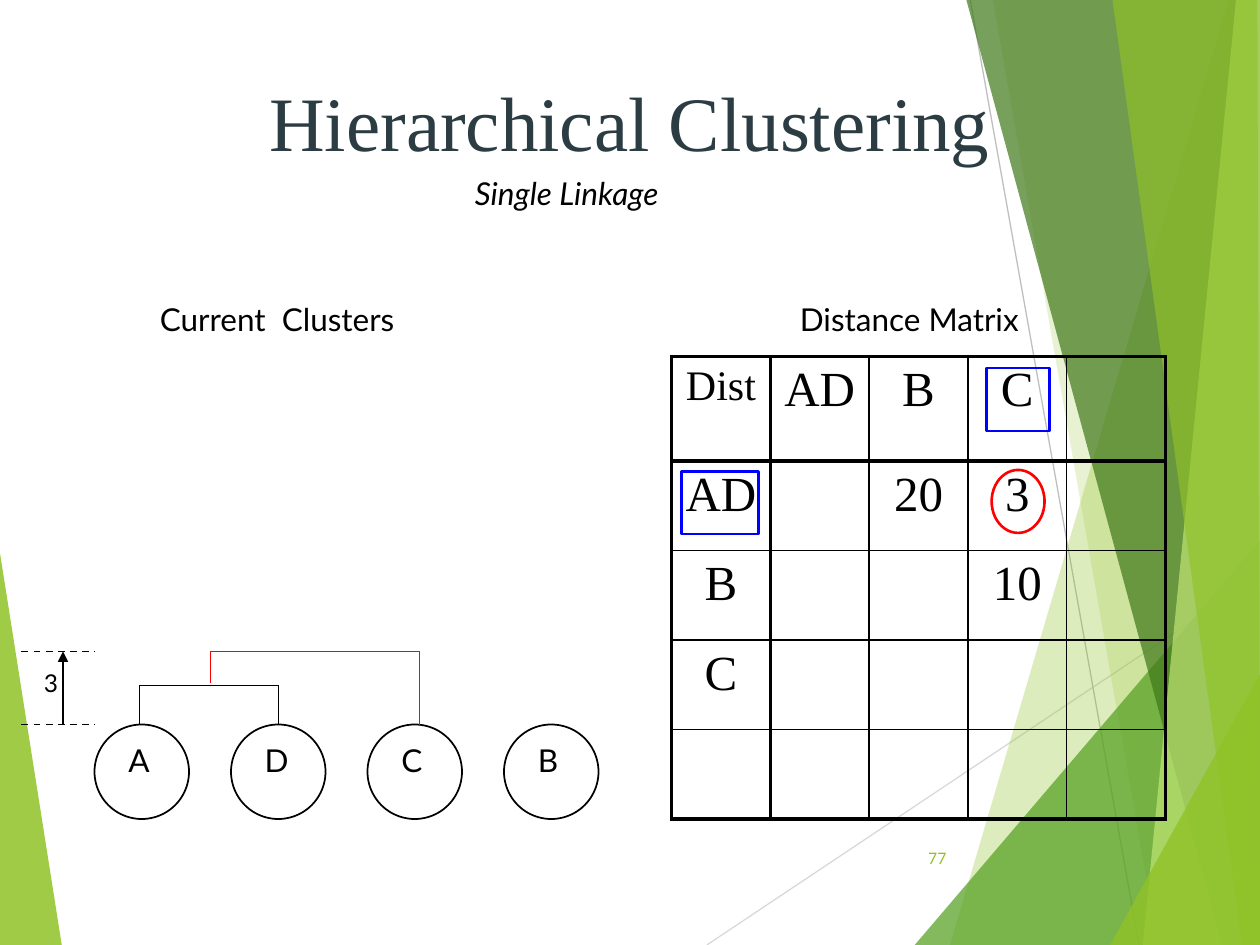
"""Build the hierarchical clustering slide with its dendrogram and distance matrix."""
from lxml.etree import SubElement
from pptx import Presentation
from pptx.dml.color import RGBColor
from pptx.enum.dml import MSO_LINE
from pptx.enum.shapes import MSO_CONNECTOR, MSO_SHAPE
from pptx.enum.text import MSO_ANCHOR, PP_ALIGN
from pptx.oxml.ns import qn
from pptx.util import Inches, Pt

BLACK = RGBColor(0x00, 0x00, 0x00)
RED = RGBColor(0xFF, 0x00, 0x00)
BLUE = RGBColor(0x00, 0x00, 0xFF)
SLATE = RGBColor(0x2C, 0x3C, 0x43)
LIME = RGBColor(0x90, 0xC2, 0x26)
GREEN = RGBColor(0x54, 0xA0, 0x21)
DARK_GREEN = RGBColor(0x3F, 0x78, 0x19)
PALE_LIME = RGBColor(0xC0, 0xE4, 0x74)
GRAY = RGBColor(0xBF, 0xBF, 0xBF)
LIGHT_GRAY = RGBColor(0xD9, 0xD9, 0xD9)
SANS, SERIF = "Lato", "Times New Roman"

LEFT_FACET = ([(0, 4.39), (0.49, 7.5), (0, 7.5)], LIME, 85)
RIGHT_FACETS = [
    ([(9.75, 0), (7.54, 7.5), (10, 7.5), (10, 0)], LIME, 30),
    ([(7.88, 0), (9.19, 7.5), (10, 7.5), (10, 0)], LIME, 20),
    ([(7.26, 7.5), (10, 4.29), (10, 7.5)], GREEN, 72),
    ([(7.67, 0), (9.7, 7.5), (10, 7.5), (10, 0)], DARK_GREEN, 70),
    ([(9.81, 0), (9.07, 7.5), (10, 7.5), (10, 0)], PALE_LIME, 70),
    ([(8.83, 0), (9.86, 7.5), (10, 7.5), (9.98, 0)], LIME, 65),
    ([(8.81, 7.5), (10, 5.35), (10, 7.5)], LIME, 80),
]
MATRIX = [
    ["Dist", "AD", "B", "C", ""],
    ["AD", "", "20", "3", ""],
    ["B", "", "", "10", ""],
    ["C", "", "", "", ""],
    ["", "", "", "", ""],
]
ROW_HEIGHTS = [0.83] + [0.71] * 4
THICK_EDGES = (0, 1, 5)


def write(tf, text, size=18, font=SANS, color=BLACK, italic=False,
          align=PP_ALIGN.LEFT, anchor=MSO_ANCHOR.TOP):
    tf.word_wrap = True
    tf.vertical_anchor = anchor
    p = tf.paragraphs[0]
    p.alignment = align
    r = p.add_run()
    r.text = text
    r.font.size = Pt(size)
    r.font.name = font
    r.font.italic = italic
    r.font.color.rgb = color


class SlideBuilder:
    def __init__(self, slide):
        self.slide = slide
        self.shapes = slide.shapes

    def title(self, text, x, y, w, h):
        sp = self.shapes.title
        sp.left, sp.top, sp.width, sp.height = map(Inches, (x, y, w, h))
        write(sp.text_frame, text, size=44, font=SERIF, color=SLATE,
              align=PP_ALIGN.CENTER, anchor=MSO_ANCHOR.MIDDLE)
        sp.element.getparent().append(sp.element)

    def text(self, text, x, y, w, h=0.5, **fmt):
        sp = self.shapes.add_textbox(*map(Inches, (x, y, w, h)))
        write(sp.text_frame, text, **fmt)

    def outline(self, kind, x, y, w, h, color, width=1.5):
        sp = self.shapes.add_shape(kind, *map(Inches, (x, y, w, h)))
        sp.shadow.inherit = False
        sp.fill.background()
        sp.line.color.rgb = color
        sp.line.width = Pt(width)

    def facet(self, points, color, opacity):
        pts = [(Inches(x), Inches(y)) for x, y in points]
        fb = self.shapes.build_freeform(*pts[0])
        fb.add_line_segments(pts[1:], close=True)
        sp = fb.convert_to_shape()
        sp.shadow.inherit = False
        sp.fill.solid()
        sp.fill.fore_color.rgb = color
        sp.line.fill.background()
        clr = sp.element.spPr.find(qn("a:solidFill"))[0]
        SubElement(clr, qn("a:alpha"), val=str(opacity * 1000))

    def line(self, x1, y1, x2, y2, color=BLACK, width=0.75, dashed=False, arrow=False):
        cxn = self.shapes.add_connector(
            MSO_CONNECTOR.STRAIGHT, *map(Inches, (x1, y1, x2, y2)))
        cxn.line.color.rgb = color
        cxn.line.width = Pt(width)
        if dashed:
            cxn.line.dash_style = MSO_LINE.DASH
        spPr = cxn.element.spPr
        if arrow:
            SubElement(spPr.find(qn("a:ln")), qn("a:tailEnd"), type="triangle")
        SubElement(spPr, qn("a:effectLst"))

    def bracket(self, left, right, top, left_end, right_end, color):
        self.line(left, left_end, left, top, color)
        self.line(left, top, right, top, color)
        self.line(right, top, right, right_end, color)

    def borders(self, cell, row, col):
        tcPr = cell._tc.get_or_add_tcPr()
        edges = {"L": col, "R": col + 1, "T": row, "B": row + 1}
        for side, edge in edges.items():
            width = Pt(2.25 if edge in THICK_EDGES else 1)
            ln = SubElement(tcPr, qn(f"a:ln{side}"), w=str(width))
            fill = SubElement(ln, qn("a:solidFill"))
            SubElement(fill, qn("a:srgbClr"), val=str(BLACK))

    def matrix(self, rows, x, y, w, heights):
        frame = self.shapes.add_table(
            len(rows), len(rows[0]), *map(Inches, (x, y, w, sum(heights))))
        table = frame.table
        table.first_row = table.horz_banding = False
        for row, height in zip(table.rows, heights):
            row.height = Inches(height)
        for i, row in enumerate(rows):
            for j, value in enumerate(row):
                cell = table.cell(i, j)
                self.borders(cell, i, j)
                cell.fill.background()
                if value:
                    write(cell.text_frame, value, size=24 if value == "Dist" else 28,
                          font=SERIF, align=PP_ALIGN.CENTER)


def main():
    prs = Presentation()
    prs.slide_width, prs.slide_height = Inches(10), Inches(7.5)
    s = SlideBuilder(prs.slides.add_slide(prs.slide_layouts[5]))

    s.facet(*LEFT_FACET)
    s.line(5.61, 7.5, 10, 4.57, LIGHT_GRAY)
    s.line(7.7, 0, 9.04, 7.5, GRAY)
    for facet in RIGHT_FACETS:
        s.facet(*facet)

    s.text("77", 7.05, 6.61, 0.56, 0.4, size=9, color=LIME,
           align=PP_ALIGN.RIGHT, anchor=MSO_ANCHOR.MIDDLE)
    s.matrix(MATRIX, 5.33, 2.83, 3.92, ROW_HEIGHTS)
    s.text("Distance Matrix", 6.25, 2.33, 2.36)
    s.text("Current  Clusters", 1.17, 2.33, 2.48)
    s.outline(MSO_SHAPE.OVAL, 7.87, 3.73, 0.42, 0.5, RED)
    s.outline(MSO_SHAPE.RECTANGLE, 7.83, 2.92, 0.5, 0.5, BLUE)
    s.outline(MSO_SHAPE.RECTANGLE, 5.41, 3.74, 0.61, 0.5, BLUE)
    s.text("Single Linkage", 3.67, 1.33, 2.19, italic=True)
    s.title("Hierarchical Clustering", 0.75, 0.33, 8.5, 1.25)

    for i, name in enumerate("ADCB"):
        x = 0.75 + i * 3.25 / 3
        s.outline(MSO_SHAPE.OVAL, x, 5.75, 0.75, 0.75, BLACK, width=1)
        s.text(name, x + 0.17, 5.83, 0.44)
    s.bracket(1.11, 2.21, 5.44, 5.75, 5.75, BLACK)
    s.bracket(1.67, 3.33, 5.17, 5.42, 5.75, RED)

    for y in (5.75, 5.17):
        s.line(0.17, y, 0.75, y, width=1, dashed=True)
    s.text("3", 0.25, 5.25, 0.3, 0.33, size=14)
    s.line(0.5, 5.75, 0.5, 5.17, width=1, arrow=True)
    prs.save("out.pptx")


if __name__ == "__main__":
    main()
